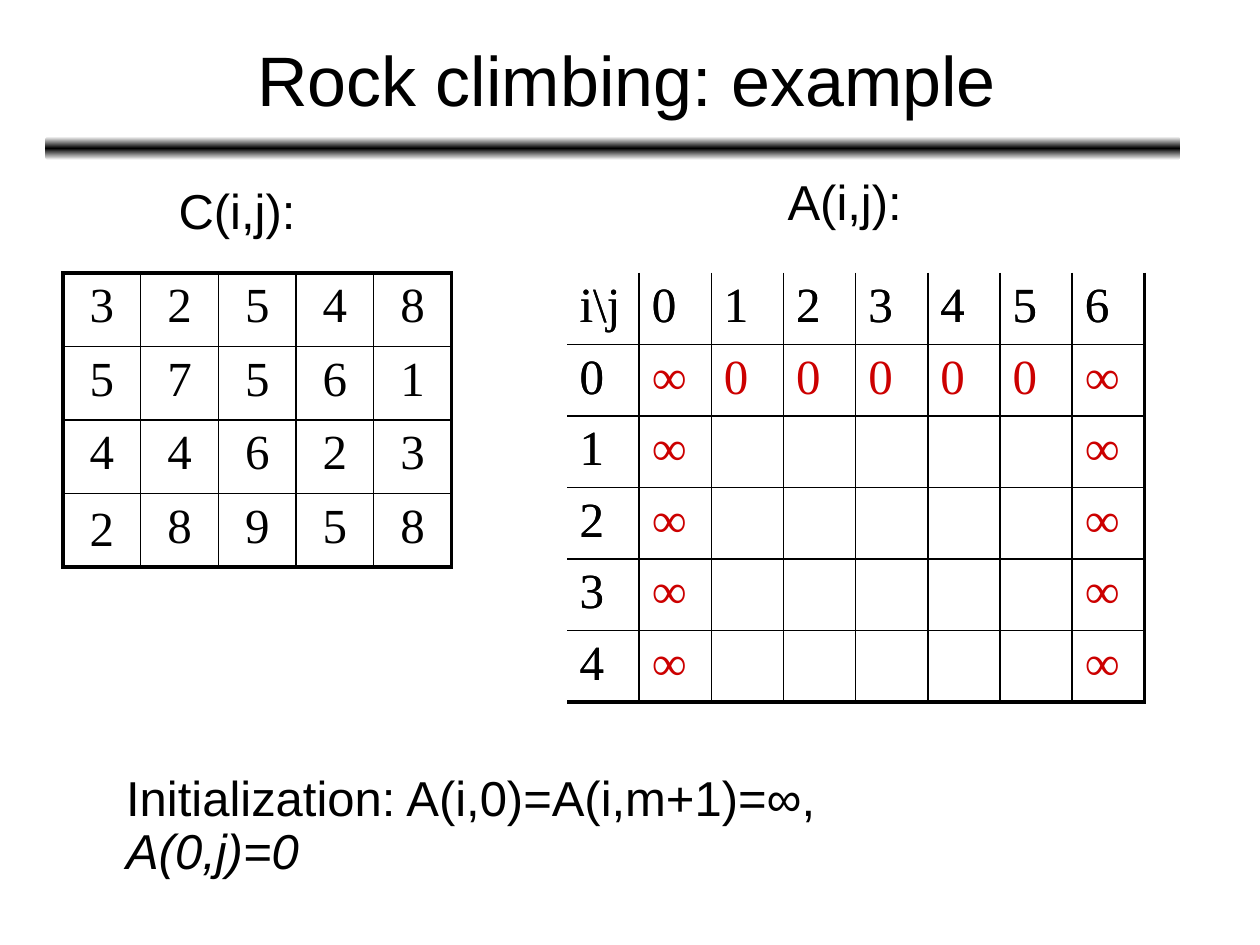
from copy import deepcopy
from lxml.etree import SubElement
from pptx import Presentation
from pptx.dml.color import RGBColor
from pptx.enum.shapes import MSO_SHAPE
from pptx.enum.text import MSO_ANCHOR, MSO_AUTO_SIZE, PP_ALIGN
from pptx.oxml.ns import qn
from pptx.util import Pt

BLACK, WHITE, RED = "000000", "FFFFFF", "CC0000"
SANS, SERIF = "Arial", "Times New Roman"
THIN, THICK = 1, 2.25


def color(code):
    return RGBColor.from_string(code)


def add_run(para, text, size=28, font=SANS, ink=BLACK, slant=None):
    run = para.add_run()
    run.text = text
    run.font.size = Pt(size)
    run.font.name = font
    run.font.italic = slant
    run.font.color.rgb = color(ink)


def add_text(slide, box, wrap=False):
    shape = slide.shapes.add_textbox(*map(Pt, box))
    frame = shape.text_frame
    frame.word_wrap = wrap
    frame.auto_size = MSO_AUTO_SIZE.SHAPE_TO_FIT_TEXT
    para = frame.paragraphs[0]
    para.line_spacing = 0.9
    return para


def add_title(slide, text):
    frame = slide.shapes.add_textbox(Pt(52), 0, Pt(612), Pt(90)).text_frame
    frame.word_wrap = True
    frame.vertical_anchor = MSO_ANCHOR.MIDDLE
    para = frame.paragraphs[0]
    para.alignment = PP_ALIGN.CENTER
    add_run(para, text, 40)


def add_bar(slide):
    bar = slide.shapes.add_shape(
        MSO_SHAPE.ROUNDED_RECTANGLE, Pt(26), Pt(78), Pt(648.5), Pt(13.5))
    bar.shadow.inherit = False
    bar.line.fill.background()
    bar.fill.gradient()
    bar.fill.gradient_angle = 90
    # A third stop makes the fade symmetric
    last = bar.fill.gradient_stops[1]
    mark = bar._element.spPr.findall(".//" + qn("a:gs"))[1]
    mark.addnext(deepcopy(mark))
    last.position = 0.5
    for stop, code in zip(bar.fill.gradient_stops, (WHITE, BLACK, WHITE)):
        stop.color.rgb = color(code)


def set_edge(cell, side, width):
    line = SubElement(cell._tc.get_or_add_tcPr(), qn("a:ln" + side))
    line.set("w", str(Pt(width)))
    if width:
        fill = SubElement(line, qn("a:solidFill"))
        SubElement(fill, qn("a:srgbClr")).set("val", BLACK)
    else:
        SubElement(line, qn("a:noFill"))


def set_gap(para):
    gap = SubElement(para._p.get_or_add_pPr(), qn("a:spcBef"))
    SubElement(gap, qn("a:spcPct")).set("val", "20000")


def add_grid(slide, box, rows, start, align=None, ink=None):
    """Draw a grid; start is the width of its left and top border."""
    high, wide = len(rows), len(rows[0])
    table = slide.shapes.add_table(high, wide, *map(Pt, box)).table
    table.first_row = table.horz_banding = False
    for r, row in enumerate(rows):
        for c, text in enumerate(row):
            cell = table.cell(r, c)
            set_edge(cell, "L", THIN if c else start)
            set_edge(cell, "R", THIN if c < wide - 1 else THICK)
            set_edge(cell, "T", THIN if r else start)
            set_edge(cell, "B", THIN if r < high - 1 else THICK)
            cell.fill.background()
            para = cell.text_frame.paragraphs[0]
            para.alignment = align
            set_gap(para)
            if text:
                inner = ink and r and c
                add_run(para, text, font=SERIF, ink=ink if inner else BLACK)
    return table


def main():
    deck = Presentation()
    deck.slide_width, deck.slide_height = Pt(720), Pt(540)
    slide = deck.slides.add_slide(deck.slide_layouts[6])

    # Heading
    add_bar(slide)
    add_title(slide, "Rock climbing: example")
    add_run(add_text(slide, (95, 103.5, 82, 37.5)), "C(i,j):")
    add_run(add_text(slide, (443, 98, 83.5, 37.5)), "A(i,j):")

    # Table A: the bare frame, then the same frame with start values
    head = ["i\\j", *"0123456"]
    bare = [head] + [[str(i)] + [""] * 7 for i in range(5)]
    full = [head, ["0", "∞", *"00000", "∞"]]
    full += [[str(i), "∞"] + [""] * 5 + ["∞"] for i in range(1, 5)]
    for rows in (bare, full):
        add_grid(slide, (324, 156, 330, 245), rows, 0, ink=RED)

    # Start rule
    para = add_text(slide, (65, 439, 506, 37.5), wrap=True)
    add_run(para, "Initialization: A(i,0)=A(i,m+1)=∞, ")
    add_run(para, "A(0,j)=0", slant=True)

    # Table C: cost of each cell
    cost = ["32548", "57561", "44623", "28958"]
    table = add_grid(slide, (36, 156, 222, 168), cost, THICK, PP_ALIGN.CENTER)
    table.cell(3, 0).vertical_anchor = MSO_ANCHOR.MIDDLE

    deck.save("out.pptx")


if __name__ == "__main__":
    main()
